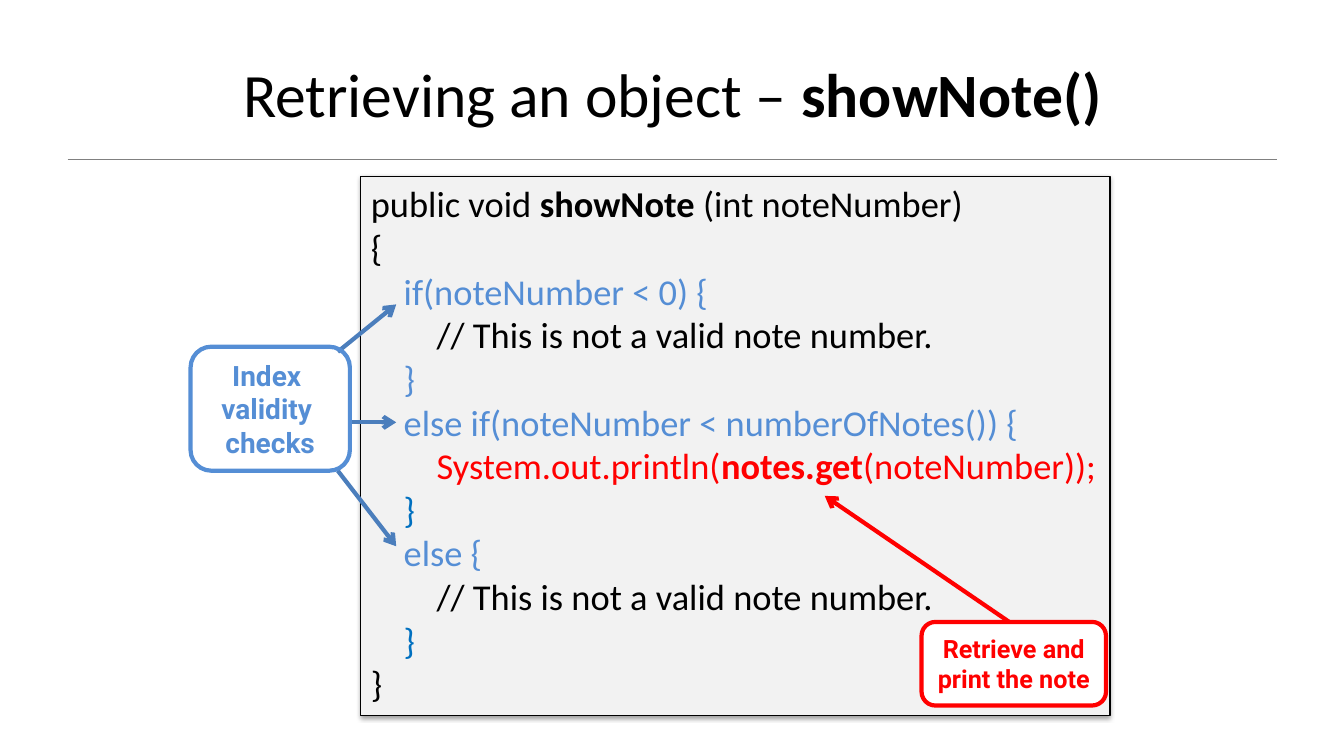
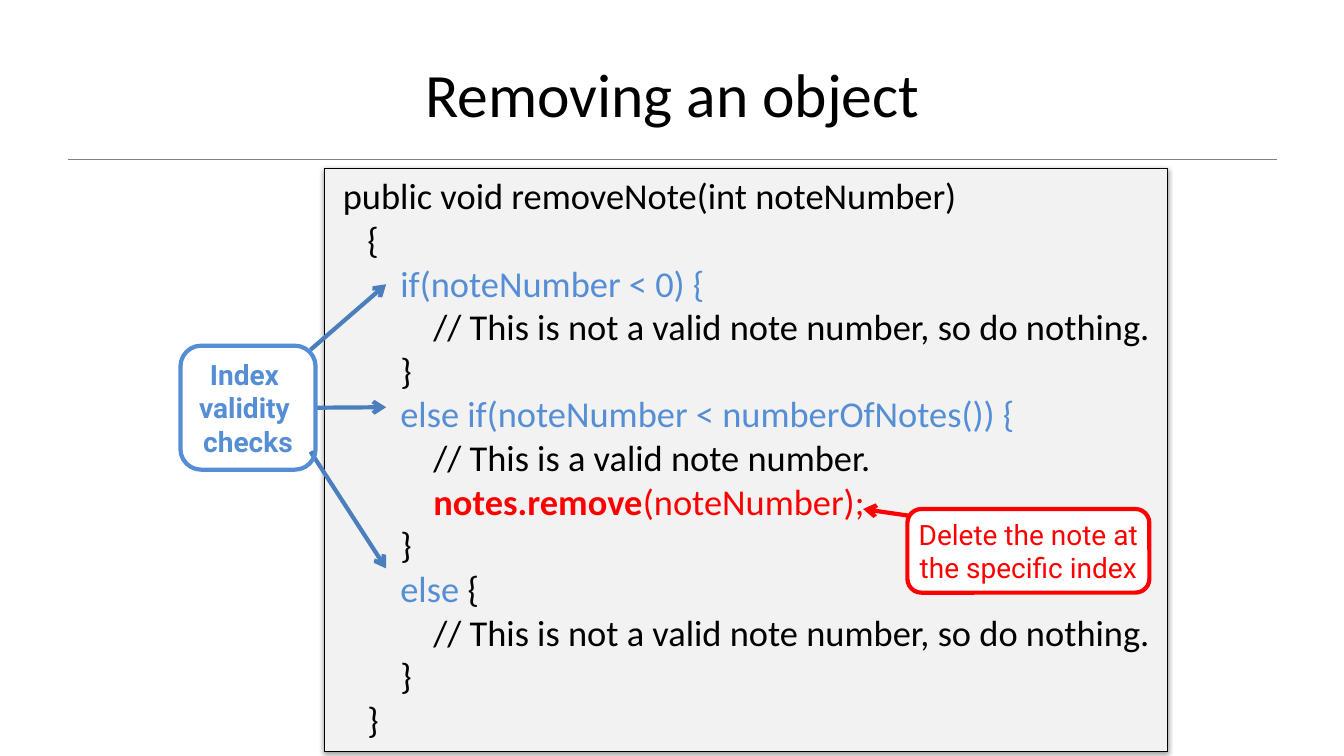
from dataclasses import dataclass

import pptx
import pptx.dml.color
import pptx.enum.shapes
import pptx.enum.text
import pptx.oxml
import pptx.oxml.ns
import pptx.util

EMU_PER_PX = 9144  # 100 px to the inch
SHAPES = pptx.enum.shapes.MSO_SHAPE
ANCHOR = pptx.enum.text.MSO_ANCHOR
ALIGN = pptx.enum.text.PP_ALIGN
AUTO_SIZE = pptx.enum.text.MSO_AUTO_SIZE


# Theme
@dataclass(frozen=True)
class Theme:
    text_font: str = "Calibri"
    callout_font: str = "Roboto"
    black: str = "000000"
    white: str = "FFFFFF"
    rule: str = "808080"
    panel: str = "F2F2F2"
    check: str = "558ED5"
    check_arrow: str = "4B7EBC"
    brace: str = "0070C0"
    action: str = "FF0000"
    title_size: int = 44
    code_size: int = 26
    callout_size: int = 20
    small_size: int = 18
    rule_width: float = 0.5
    panel_width: float = 0.75
    accent_width: float = 3


THEME = Theme()


# Content types
@dataclass(frozen=True)
class Box:
    left: int
    top: int
    width: int
    height: int


@dataclass(frozen=True)
class Span:
    text: str
    ink: str = THEME.black
    bold: bool = False


@dataclass(frozen=True)
class Arrow:
    start: tuple[int, int]
    end: tuple[int, int]
    joined: bool = False  # starts at the middle of the callout's right side


@dataclass(frozen=True)
class Callout:
    box: Box
    lines: tuple[str, ...]
    ink: str
    arrow_ink: str
    arrows: tuple[Arrow, ...]
    size: int = THEME.callout_size
    bold: bool = True
    fill: str | None = None


@dataclass(frozen=True)
class CodePage:
    title: list[Span]
    panel: Box
    wrap: bool
    code: list[list[Span]]
    callouts: list[Callout]


def px(length: int) -> pptx.util.Emu:
    return pptx.util.Emu(length * EMU_PER_PX)


def rgb(ink: str) -> pptx.dml.color.RGBColor:
    return pptx.dml.color.RGBColor.from_string(ink)


def drawing_xml(tag: str, attributes: str = "", content: str = ""):
    names = pptx.oxml.ns.nsdecls("a")
    return pptx.oxml.parse_xml(f"<a:{tag} {names} {attributes}>{content}</a:{tag}>")


def place(shape, box: Box) -> None:
    shape.left, shape.top = px(box.left), px(box.top)
    shape.width, shape.height = px(box.width), px(box.height)


# Drawing
def write(frame, lines: list[list[Span]], font: str, size: int, align) -> None:
    for index, spans in enumerate(lines):
        para = frame.paragraphs[0] if index == 0 else frame.add_paragraph()
        para.alignment = align
        for span in spans:
            run = para.add_run()
            run.text = span.text
            run.font.name = font
            run.font.size = pptx.util.Pt(size)
            run.font.bold = span.bold
            run.font.color.rgb = rgb(span.ink)


def add_box(page, kind, box: Box, fill: str | None, ink: str, width: float):
    shape = page.shapes.add_shape(
        kind, px(box.left), px(box.top), px(box.width), px(box.height))
    shape.shadow.inherit = False
    if fill:
        shape.fill.solid()
        shape.fill.fore_color.rgb = rgb(fill)
    else:
        shape.fill.background()
    shape.line.color.rgb = rgb(ink)
    shape.line.width = pptx.util.Pt(width)
    return shape


def add_line(page, start: tuple[int, int], end: tuple[int, int],
             ink: str, width: float, head: bool = False):
    line = page.shapes.add_connector(
        pptx.enum.shapes.MSO_CONNECTOR.STRAIGHT,
        px(start[0]), px(start[1]), px(end[0]), px(end[1]))
    line.line.color.rgb = rgb(ink)
    line.line.width = pptx.util.Pt(width)
    if head:
        line.get_or_add_ln().append(drawing_xml("tailEnd", 'type="arrow"'))
    line.element.spPr.append(drawing_xml("effectLst"))
    return line


def add_soft_shadow(shape) -> None:
    effects = shape.element.spPr.find(pptx.oxml.ns.qn("a:effectLst"))
    effects.append(drawing_xml(
        "outerShdw", 'blurRad="39400" dist="20300" dir="5400000" rotWithShape="0"',
        f'<a:srgbClr val="{THEME.black}"><a:alpha val="38000"/></a:srgbClr>'))


def add_code(page, panel: Box, code: list[list[Span]], wrap: bool) -> None:
    shape = add_box(page, SHAPES.RECTANGLE, panel, THEME.panel,
                    THEME.black, THEME.panel_width)
    add_soft_shadow(shape)
    frame = shape.text_frame
    frame.word_wrap = wrap
    frame.auto_size = AUTO_SIZE.SHAPE_TO_FIT_TEXT
    frame.vertical_anchor = ANCHOR.TOP
    write(frame, code, THEME.text_font, THEME.code_size, ALIGN.LEFT)


def add_callout(page, callout: Callout) -> None:
    shape = add_box(page, SHAPES.ROUNDED_RECTANGLE, callout.box, callout.fill,
                    callout.ink, THEME.accent_width)
    frame = shape.text_frame
    frame.word_wrap = False
    frame.vertical_anchor = ANCHOR.MIDDLE
    lines = [[Span(text, callout.ink, callout.bold)] for text in callout.lines]
    write(frame, lines, THEME.callout_font, callout.size, ALIGN.CENTER)
    for arrow in callout.arrows:
        line = add_line(page, arrow.start, arrow.end, callout.arrow_ink,
                        THEME.accent_width, head=True)
        if arrow.joined:
            line.begin_connect(shape, 3)
    page.shapes.element.append(shape.element)  # callout above its arrows


# Shared layout: title place and the rule below it
def prepare_layout(deck):
    layout = deck.slide_layouts.get_by_name("Title Only")
    title = layout.placeholders[0]
    place(title, Box(67, 30, 1200, 125))
    title.text_frame.vertical_anchor = ANCHOR.MIDDLE
    return layout


def move_rule_to_layout(page, layout) -> None:
    rule = add_line(page, (67, 158), (1267, 158), THEME.rule, THEME.rule_width)
    rule.element.nvCxnSpPr.cNvPr.set("id", "20")
    layout.shapes.element.append(rule.element)


def add_page(deck, layout, content: CodePage):
    page = deck.slides.add_slide(layout)
    write(page.shapes.title.text_frame, [content.title],
          THEME.text_font, THEME.title_size, ALIGN.CENTER)
    add_code(page, content.panel, content.code, content.wrap)
    for callout in content.callouts:
        add_callout(page, callout)
    return page


# Content
def index_checks(box: Box, *arrows: Arrow) -> Callout:
    return Callout(box, ("Index ", "validity ", "checks"),
                   THEME.check, THEME.check_arrow, arrows)


def action_note(box: Box, lines: tuple[str, ...], arrow: Arrow,
                size: int, bold: bool) -> Callout:
    return Callout(box, lines, THEME.action, THEME.action, (arrow,),
                   size, bold, THEME.white)


SHOW_NOTE = CodePage(
    title=[Span("Retrieving an object – "), Span("showNote()", bold=True)],
    panel=Box(358, 175, 743, 535),
    wrap=False,
    code=[
        [Span("public void "), Span("showNote", bold=True),
         Span(" (int noteNumber)")],
        [Span("{")],
        [Span("    if(noteNumber < 0) {", THEME.check)],
        [Span("        // This is not a valid note number.")],
        [Span("    }", THEME.check)],
        [Span("    else if(noteNumber < numberOfNotes()) {", THEME.check)],
        [Span("        System.out.println(", THEME.action),
         Span("notes.get", THEME.action, True),
         Span("(noteNumber));", THEME.action)],
        [Span("    }", THEME.brace)],
        [Span("    else {", THEME.check)],
        [Span("        // This is not a valid note number.")],
        [Span("    }", THEME.brace)],
        [Span("}")],
    ],
    callouts=[
        index_checks(Box(189, 344, 158, 123),
                     Arrow((335, 349), (393, 302)),
                     Arrow((347, 419), (393, 419)),
                     Arrow((335, 467), (393, 542))),
        action_note(Box(914, 617, 183, 83), ("Retrieve and", "print the note"),
                    Arrow((1001, 617), (818, 492)), THEME.small_size, True),
    ],
)

REMOVE_NOTE = CodePage(
    title=[Span("Removing an object")],
    panel=Box(322, 167, 836, 579),
    wrap=True,
    code=[
        [Span(" public void removeNote(int noteNumber)")],
        [Span("    {")],
        [Span("        if(noteNumber < 0) {", THEME.check)],
        [Span("            // This is not a valid note number, so do nothing.")],
        [Span("        }")],
        [Span("        else if(noteNumber < numberOfNotes()) {", THEME.check)],
        [Span("            // This is a valid note number.")],
        [Span("            "), Span("notes.remove", THEME.action, True),
         Span("(noteNumber);", THEME.action)],
        [Span("        }")],
        [Span("        else ", THEME.check), Span("{")],
        [Span("            // This is not a valid note number, so do nothing.")],
        [Span("        }")],
        [Span("    }")],
    ],
    callouts=[
        index_checks(Box(179, 343, 134, 123),
                     Arrow((308, 347), (383, 282)),
                     Arrow((313, 404), (383, 404), joined=True),
                     Arrow((308, 448), (383, 564))),
        action_note(Box(900, 505, 240, 83),
                    ("Delete the note at", "the specific index"),
                    Arrow((904, 512), (856, 505)), THEME.callout_size, False),
    ],
)


def main() -> None:
    deck = pptx.Presentation()
    deck.slide_width, deck.slide_height = px(1333), px(750)
    layout = prepare_layout(deck)
    pages = [add_page(deck, layout, content) for content in (SHOW_NOTE, REMOVE_NOTE)]
    move_rule_to_layout(pages[0], layout)
    deck.save("out.pptx")


if __name__ == "__main__":
    main()
